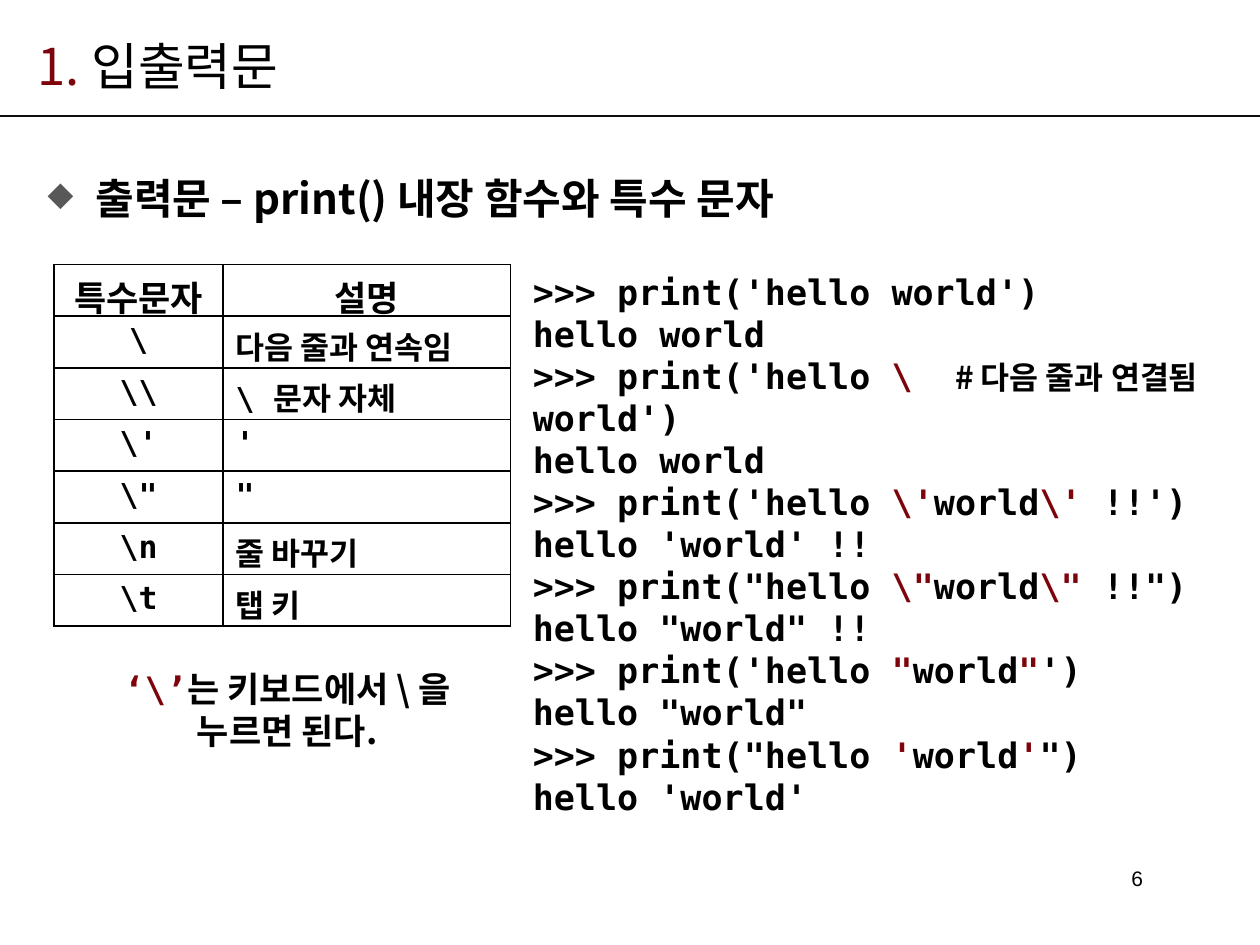
from lxml import etree
from pptx import Presentation
from pptx.dml.color import RGBColor
from pptx.enum.shapes import MSO_CONNECTOR
from pptx.enum.text import MSO_ANCHOR, PP_ALIGN
from pptx.oxml import parse_xml
from pptx.oxml.ns import nsdecls, qn
from pptx.util import Inches, Pt

LEFT, CENTER, RIGHT = PP_ALIGN.LEFT, PP_ALIGN.CENTER, PP_ALIGN.RIGHT
TOP, MIDDLE = MSO_ANCHOR.TOP, MSO_ANCHOR.MIDDLE
STRAIGHT = MSO_CONNECTOR.STRAIGHT

WIDTH, HEIGHT = Inches(10), Inches(7.5)
COLUMNS, ROWS = 100, 75
KOREAN, CODE, PLAIN = "Noto Sans CJK KR", "DejaVu Sans Mono", "Arial"
BLACK, ACCENT, RULE, BULLET = "000000", "7E040B", "0D0D0D", "585858"

# In all texts "|" switches the accent colour on and off.
SPECIAL_CHARACTERS = [
    ("특수문자", "설명"),
    ("\\", "다음 줄과 연속임"),
    ("\\\\", "\\ ||문자 자체"),
    ("\\'", "'"),
    ('\\"', '"'),
    ("\\n", "줄 바꾸기"),
    ("\\t", "탭 키"),
]
SESSION = r"""
>>> print('hello world')
hello world
>>> print('hello |\  |# 다음 줄과 연결됨
world')
hello world
>>> print('hello |\'|world|\'| !!')
hello 'world' !!
>>> print("hello |\"|world|\"| !!")
hello "world" !!
>>> print('hello |"|world|"|')
hello "world"
>>> print("hello |'|world|'|")
hello 'world'
""".strip().split("\n")


def color(value):
    return RGBColor.from_string(value)


def is_korean(words):
    return any("가" <= letter <= "힣" for letter in words)


def write(frame, lines, size=20, korean_size=None, font=CODE, bold=True,
          align=LEFT, anchor=TOP, leading=None):
    """Fill a text frame; spans with Hangul take the Korean font."""
    frame.word_wrap = True
    frame.vertical_anchor = anchor
    for number, line in enumerate(lines):
        para = frame.add_paragraph() if number else frame.paragraphs[0]
        para.alignment = align
        if leading:
            para.line_spacing = Pt(leading)
        for position, words in enumerate(line.split("|")):
            if not words:
                continue
            korean = is_korean(words)
            span = para.add_run()
            span.text = words
            span.font.size = Pt(korean_size if korean and korean_size else size)
            span.font.bold = bold
            span.font.color.rgb = color(ACCENT if position % 2 else BLACK)
            span.font.name = KOREAN if korean else font
            east_asian = etree.SubElement(span.font._element, qn("a:ea"))
            east_asian.set("typeface", span.font.name)


class SlideBuilder:
    def __init__(self, deck):
        self.page = deck.slides.add_slide(deck.slide_layouts[5])

    def x(self, columns):
        return round(WIDTH * columns / COLUMNS)

    def y(self, rows):
        return round(HEIGHT * rows / ROWS)

    def area(self, left, top, width, height):
        return self.x(left), self.y(top), self.x(width), self.y(height)

    def title(self, place, words, **style):
        box = self.page.shapes.title
        box.left, box.top, box.width, box.height = self.area(*place)
        write(box.text_frame, [words], **style)

    def rule(self, row):
        line = self.page.shapes.add_connector(
            STRAIGHT, 0, self.y(row), WIDTH, self.y(row))
        line.line.color.rgb = color(RULE)
        line.line.width = Pt(1.5)
        etree.SubElement(line._element.spPr, qn("a:effectLst"))

    def text(self, place, lines, **style):
        box = self.page.shapes.add_textbox(*self.area(*place))
        write(box.text_frame, lines, **style)
        return box.text_frame

    def bullet(self, place, words, **style):
        frame = self.text(place, [words], anchor=MIDDLE, **style)
        frame.margin_top = self.y(1)
        properties = frame.paragraphs[0]._p.get_or_add_pPr()
        properties.set("marL", str(self.x(3.8)))
        properties.set("indent", str(-self.x(3.8)))
        for part in (
            f'<a:buClr {nsdecls("a")}><a:srgbClr val="{BULLET}"/></a:buClr>',
            f'<a:buSzPct {nsdecls("a")} val="80000"/>',
            f'<a:buChar {nsdecls("a")} char="◆"/>',
        ):
            properties.append(parse_xml(part))

    def table(self, place, rows, widths):
        table = self.page.shapes.add_table(
            len(rows), len(widths), *self.area(*place)).table
        table.first_row = table.horz_banding = False
        for column, width in zip(table.columns, widths):
            column.width = self.x(width)
        for row, entries in enumerate(rows):
            table.rows[row].height = self.y(place[3] / len(rows))
            for column, words in enumerate(entries):
                cell = table.cell(row, column)
                cell.margin_bottom = 0
                write(cell.text_frame, [words], size=18 if row else 20,
                      align=LEFT if row and column else CENTER)
                self.border(cell)

    def border(self, cell):
        properties = cell._tc.get_or_add_tcPr()
        for side in ("lnL", "lnR", "lnT", "lnB"):
            properties.append(parse_xml(
                f'<a:{side} {nsdecls("a")} w="{Pt(1)}"><a:solidFill>'
                f'<a:srgbClr val="{BLACK}"/></a:solidFill></a:{side}>'))
        cell.fill.background()


def main():
    deck = Presentation()
    deck.slide_width, deck.slide_height = WIDTH, HEIGHT
    slide = SlideBuilder(deck)

    # Heading
    slide.rule(9.2)
    slide.title((2, 2.1, 84.3, 6.1), "|1. |입출력문", size=29, font=KOREAN,
                bold=False, anchor=MIDDLE)
    slide.bullet((2.8, 11.5, 90.6, 7.9),
                 "출력문 – print() 내장 함수와 특수 문자", size=24)

    # Special characters and the keyboard note
    slide.table((4.3, 21, 36.2, 28.7), SPECIAL_CHARACTERS, (13.4, 22.8))
    slide.text((7.5, 52.5, 30.6, 7.7),
               ["|‘\\’|는 키보드에서 \\ 을 누르면 된다."],
               align=CENTER, leading=24)

    # Interpreter session
    slide.text((41.3, 21, 54.8, 44.8), SESSION, korean_size=18, leading=24)

    # Page number
    slide.text((68.9, 68.3, 22.8, 2.8), ["6"], size=12, font=PLAIN,
               bold=False, align=RIGHT, anchor=MIDDLE)

    deck.save("out.pptx")


if __name__ == "__main__":
    main()
